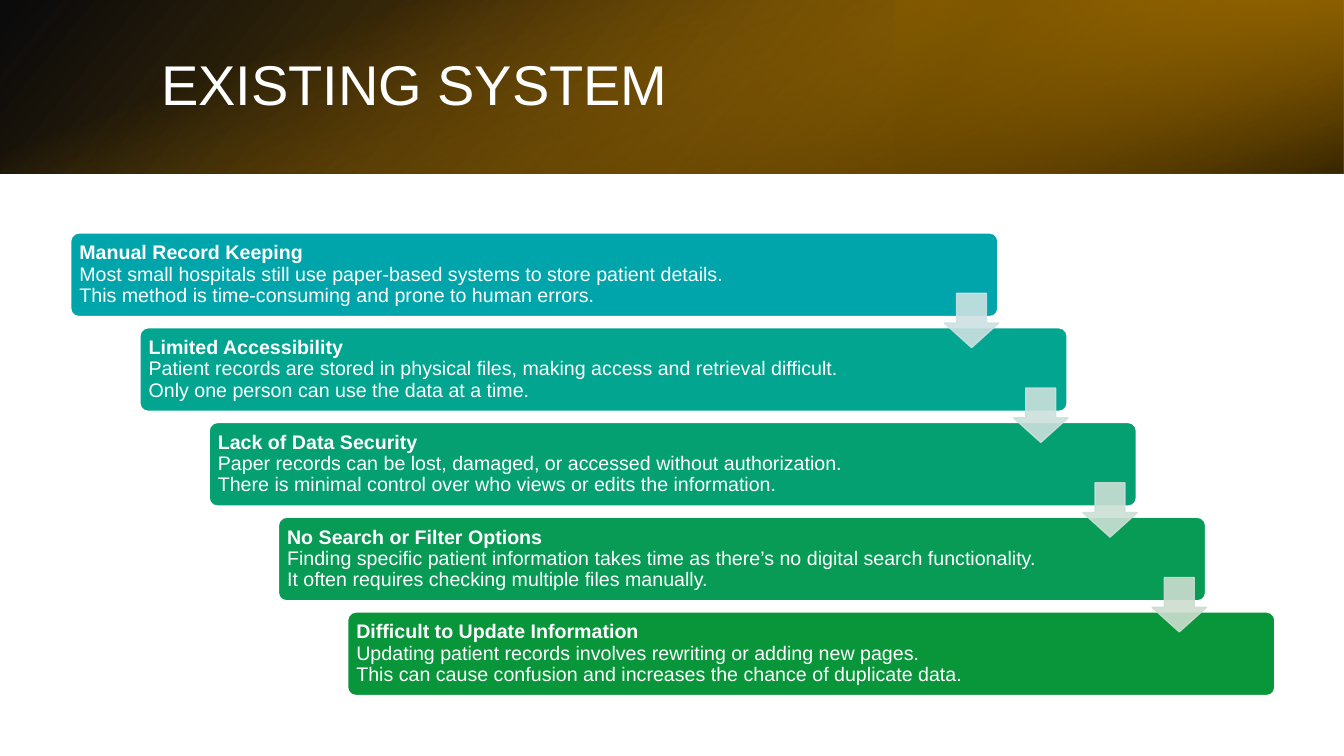
from lxml import etree
from pptx import Presentation
from pptx import util as u
from pptx.dml.color import RGBColor
from pptx.enum import shapes, text
from pptx.oxml import parse_xml
from pptx.oxml.ns import nsdecls, qn

W, H = 33.87, 19.05
WHITE = "FFFFFF"
STEPS = [
    ("00A5AB", "CCE1E2", "Manual Record Keeping",
     "Most small hospitals still use paper-based systems to store patient details.",
     "This method is time-consuming and prone to human errors."),
    ("02A690", "CCE0DC", "Limited Accessibility",
     "Patient records are stored in physical files, making access and retrieval difficult.",
     "Only one person can use the data at a time."),
    ("05A071", "CCDFD5", "Lack of Data Security",
     "Paper records can be lost, damaged, or accessed without authorization.",
     "There is minimal control over who views or edits the information."),
    ("079B55", "CCDDCF", "No Search or Filter Options",
     "Finding specific patient information takes time as there’s no digital search functionality.",
     "It often requires checking multiple files manually."),
    ("09963B", None, "Difficult to Update Information",
     "Updating patient records involves rewriting or adding new pages.",
     "This can cause confusion and increases the chance of duplicate data."),
]


def rgb(value):
    return RGBColor.from_string(value)


def add_box(s, kind, x, y, w, h):
    sp = s.shapes.add_shape(kind, u.Cm(x), u.Cm(y), u.Cm(w), u.Cm(h))
    sp.shadow.inherit = False
    return sp


def paint(sp, fill, line, opacity=100):
    sp.fill.solid()
    sp.fill.fore_color.rgb = rgb(fill)
    sp.line.color.rgb = rgb(line)
    sp.line.width = u.Pt(1)
    if opacity < 100:
        for clr in sp._element.spPr.iter(qn("a:srgbClr")):
            etree.SubElement(clr, qn("a:alpha")).set("val", str(opacity * 1000))


def write(tf, lines, size, inset):
    tf.word_wrap = True
    tf.vertical_anchor = text.MSO_ANCHOR.MIDDLE
    tf.margin_left = tf.margin_right = u.Cm(inset)
    tf.margin_top = tf.margin_bottom = u.Cm(0.13)
    tf.text = "\n".join(lines)
    for p in tf.paragraphs:
        p.alignment = text.PP_ALIGN.LEFT
        p.line_spacing = 0.9
        for r in p.runs:
            r.font.name = "Arial"
            r.font.size = u.Pt(size)
            r.font.color.rgb = rgb(WHITE)


def add_gradient(s, x, y, w, h, stops, angle, rotation=0, flip=False):
    sp = add_box(s, shapes.MSO_SHAPE.RECTANGLE, x, y, w, h)
    sp.line.fill.background()
    sp.rotation = rotation
    spPr = sp._element.spPr
    if flip:
        spPr.find(qn("a:xfrm")).set("flipH", "1")
    gs = "".join(
        f'<a:gs pos="{pos * 1000}"><a:srgbClr val="{color}">'
        f'<a:alpha val="{opacity * 1000}"/></a:srgbClr></a:gs>'
        for pos, color, opacity in stops)
    sp.fill.background()
    spPr.replace(spPr.find(qn("a:noFill")), parse_xml(
        f'<a:gradFill {nsdecls("a")} rotWithShape="1"><a:gsLst>{gs}</a:gsLst>'
        f'<a:lin ang="{angle * 60000}" scaled="0"/></a:gradFill>'))


def add_header(s, x, y, w, h, title):
    add_gradient(s, x, y, w, h,
                 [(0, "000000", 96), (100, "B87D00", 100)], 140, flip=True)
    add_gradient(s, x + w * 2 / 3, y, w / 3, h,
                 [(19, "7A5400", 68), (100, "F5A700", 79)], 320, 180, True)
    add_gradient(s, x + (w - h) / 2, y + (h - w) / 2, h, w,
                 [(23, "F5A700", 0), (99, "000000", 74)], 340, 90)
    tb = s.shapes.add_textbox(u.Cm(x + 3.81), u.Cm(y + 0.97), u.Cm(27.89), u.Cm(2.44))
    write(tb.text_frame, [title], 40, 0.25)


def add_staircase(s, x, y, w, h):
    bar_w, bar_h, arrow = 23.37, 2.11, 1.37
    dx = (w - bar_w) / (len(STEPS) - 1)
    dy = (h - bar_h) / (len(STEPS) - 1)
    for i, (fill, _, *lines) in enumerate(STEPS):
        sp = add_box(s, shapes.MSO_SHAPE.ROUNDED_RECTANGLE,
                     x + i * dx, y + i * dy, bar_w, bar_h)
        sp.adjustments[0] = 0.1
        paint(sp, fill, WHITE)
        write(sp.text_frame, lines, 14, 0.16)
        sp.text_frame.paragraphs[0].runs[0].font.bold = True
    for i, (_, color, *_) in enumerate(STEPS[:-1]):
        sp = add_box(s, shapes.MSO_SHAPE.DOWN_ARROW,
                     x + i * dx + 22.02, y + i * dy + 1.52, arrow, arrow)
        sp.adjustments[0] = 0.55
        sp.adjustments[1] = 0.45
        paint(sp, color, color, 90)


def main():
    prs = Presentation()
    prs.slide_width, prs.slide_height = u.Cm(W), u.Cm(H)
    s = prs.slides.add_slide(prs.slide_layouts[6])
    add_header(s, 0, 0, W, 4.37, "EXISTING SYSTEM")
    add_staircase(s, 1.78, 5.87, 30.35, 11.66)
    prs.save("out.pptx")


if __name__ == "__main__":
    main()
